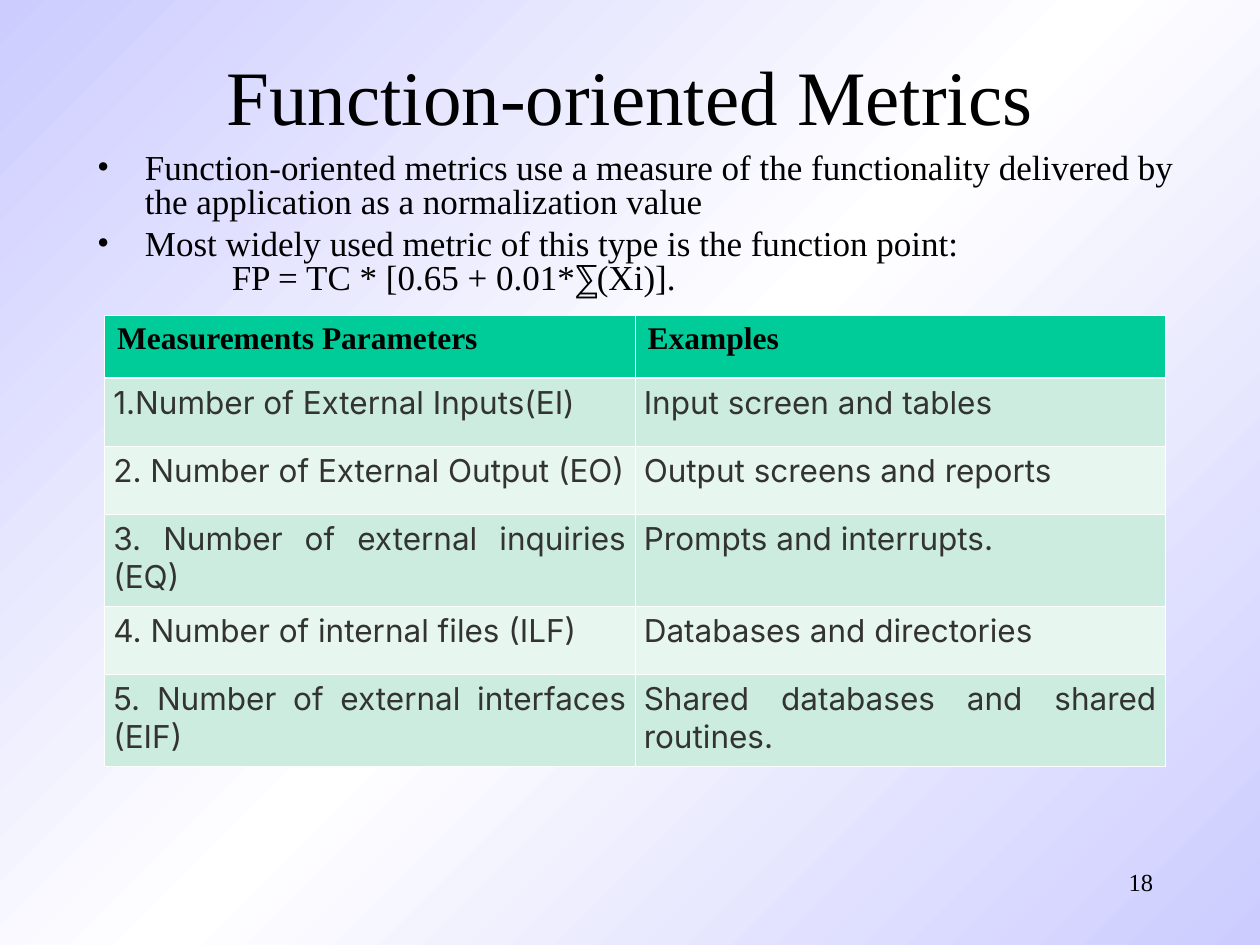
import copy

import pptx
import pptx.dml.color
import pptx.enum.text
import pptx.oxml
import pptx.oxml.ns
import pptx.util
from pptx.util import Inches, Pt

TITLE = "Function-oriented Metrics"
BULLETS = [
    "Function-oriented metrics use a measure of the functionality delivered by "
    "the application as a normalization value",
    "Most widely used metric of this type is the function point:\v"
    "\t FP = TC * [0.65 + 0.01*⅀(Xi)].",
]
PAGE_NUMBER = "18"
TABLE_ROWS = [
    ("Measurements Parameters", "Examples"),
    ("1.Number of External Inputs(EI)", "Input screen and tables"),
    ("2. Number of External Output (EO)", "Output screens and reports"),
    ("3. Number of external inquiries (EQ)", "Prompts and interrupts."),
    ("4. Number of internal files (ILF)", "Databases and directories"),
    ("5. Number of external interfaces (EIF)", "Shared databases and shared routines."),
]
ROW_HEIGHTS = [0.5, 0.54, 0.54, 0.73, 0.54, 0.73]
COLUMN_WIDTH = 4.21
COLORS = {
    "text": "000000", "cell text": "333333", "header": "00CC99",
    "odd row": "CBECDE", "even row": "E7F6EF", "border": "FFFFFF",
    "background edge": "CCCCFF", "background middle": "FFFFFF",
}
SERIF, SANS = "Times New Roman", "Inter"
ALIGN = pptx.enum.text.PP_ALIGN
NAMESPACE = pptx.oxml.ns.nsdecls("a")


def color(name):
    return pptx.dml.color.RGBColor.from_string(COLORS[name])


def place(shape, left, top, width, height):
    shape.left, shape.top = Inches(left), Inches(top)
    shape.width, shape.height = Inches(width), Inches(height)


def format_paragraph(paragraph, size, align, font=SERIF, color_name="text", bold=False):
    paragraph.alignment = align
    for run in paragraph.runs:
        run.font.name, run.font.size, run.font.bold = font, Pt(size), bold
        run.font.color.rgb = color(color_name)


def paint_background(slide):
    fill = slide.background.fill
    fill.gradient()
    fill.gradient_angle = 315
    first_stop = fill.gradient_stops[0]
    stop_list = fill._fill._gradFill.gsLst
    stop_list.insert(1, copy.deepcopy(stop_list[0]))
    names = ["background edge", "background middle", "background edge"]
    for index, (stop, name) in enumerate(zip(fill.gradient_stops, names)):
        stop.position = index / 2
        stop.color.rgb = color(name)


def add_bullet(paragraph):
    """Give the paragraph a hanging bullet and a tab stop for the formula."""
    properties = paragraph._p.get_or_add_pPr()
    properties.set("marL", str(Inches(0.38)))
    properties.set("indent", str(Inches(-0.38)))
    for xml in (
        f'<a:buClr {NAMESPACE}><a:srgbClr val="{COLORS["text"]}"/></a:buClr>',
        f'<a:buFont {NAMESPACE} typeface="{SERIF}"/>',
        f'<a:buChar {NAMESPACE} char="•"/>',
        f'<a:tabLst {NAMESPACE}><a:tab pos="{Inches(1)}" algn="l"/></a:tabLst>',
    ):
        properties.append(pptx.oxml.parse_xml(xml))


def add_borders(cell, widths):
    properties = cell._tc.get_or_add_tcPr()
    for index, (side, width) in enumerate(widths.items()):
        properties.insert(index, pptx.oxml.parse_xml(
            f'<a:ln{side} {NAMESPACE} w="{Pt(width)}"><a:solidFill>'
            f'<a:srgbClr val="{COLORS["border"]}"/></a:solidFill></a:ln{side}>'))


def add_metrics_table(slide):
    table = slide.shapes.add_table(
        len(TABLE_ROWS), 2, Inches(0.83), Inches(2.5),
        Inches(2 * COLUMN_WIDTH), Inches(sum(ROW_HEIGHTS))).table
    for column in table.columns:
        column.width = Inches(COLUMN_WIDTH)
    for row_index, texts in enumerate(TABLE_ROWS):
        table.rows[row_index].height = Inches(ROW_HEIGHTS[row_index])
        is_header = row_index == 0
        fill_name = "header" if is_header else "odd row" if row_index % 2 else "even row"
        widths = {"L": 0.45, "R": 0.45,
                  "T": 1.47 if row_index == 1 else 0.45,
                  "B": 1.47 if is_header else 0.45}
        for column_index, text in enumerate(texts):
            cell = table.cell(row_index, column_index)
            cell.text_frame.text = text
            cell.margin_left = cell.margin_right = Inches(0.1 if is_header else 0.07)
            cell.fill.solid()
            cell.fill.fore_color.rgb = color(fill_name)
            add_borders(cell, widths)
            paragraph = cell.text_frame.paragraphs[0]
            if is_header:
                format_paragraph(paragraph, 18, ALIGN.LEFT, bold=True)
            else:
                format_paragraph(paragraph, 18, ALIGN.JUSTIFY, SANS, "cell text")


def main():
    presentation = pptx.Presentation()
    presentation.slide_width, presentation.slide_height = Inches(10), Inches(7.5)
    slide = presentation.slides.add_slide(presentation.slide_layouts[1])
    paint_background(slide)

    title, body = slide.shapes.title, slide.placeholders[1]
    place(title, 0.75, 0.42, 8.5, 0.67)
    title.text_frame.text = TITLE
    title.text_frame.vertical_anchor = pptx.enum.text.MSO_ANCHOR.MIDDLE
    format_paragraph(title.text_frame.paragraphs[0], 44, ALIGN.CENTER)

    place(body, 0.67, 1.17, 8.75, 5.67)
    body.text_frame.text = "\n".join(BULLETS)
    for paragraph in body.text_frame.paragraphs:
        format_paragraph(paragraph, 20, ALIGN.LEFT)
        paragraph.line_spacing = 0.8
        paragraph.space_before = Pt(5)
        add_bullet(paragraph)
    for shape in (title, body):
        shape.text_frame.auto_size = pptx.enum.text.MSO_AUTO_SIZE.NONE

    add_metrics_table(slide)

    number_box = slide.shapes.add_textbox(
        Inches(7.17), Inches(6.83), Inches(2.08), Inches(0.5))
    number_box.text_frame.word_wrap = True
    number_box.text_frame.text = PAGE_NUMBER
    format_paragraph(number_box.text_frame.paragraphs[0], 14, ALIGN.RIGHT)

    presentation.save("out.pptx")


if __name__ == "__main__":
    main()
